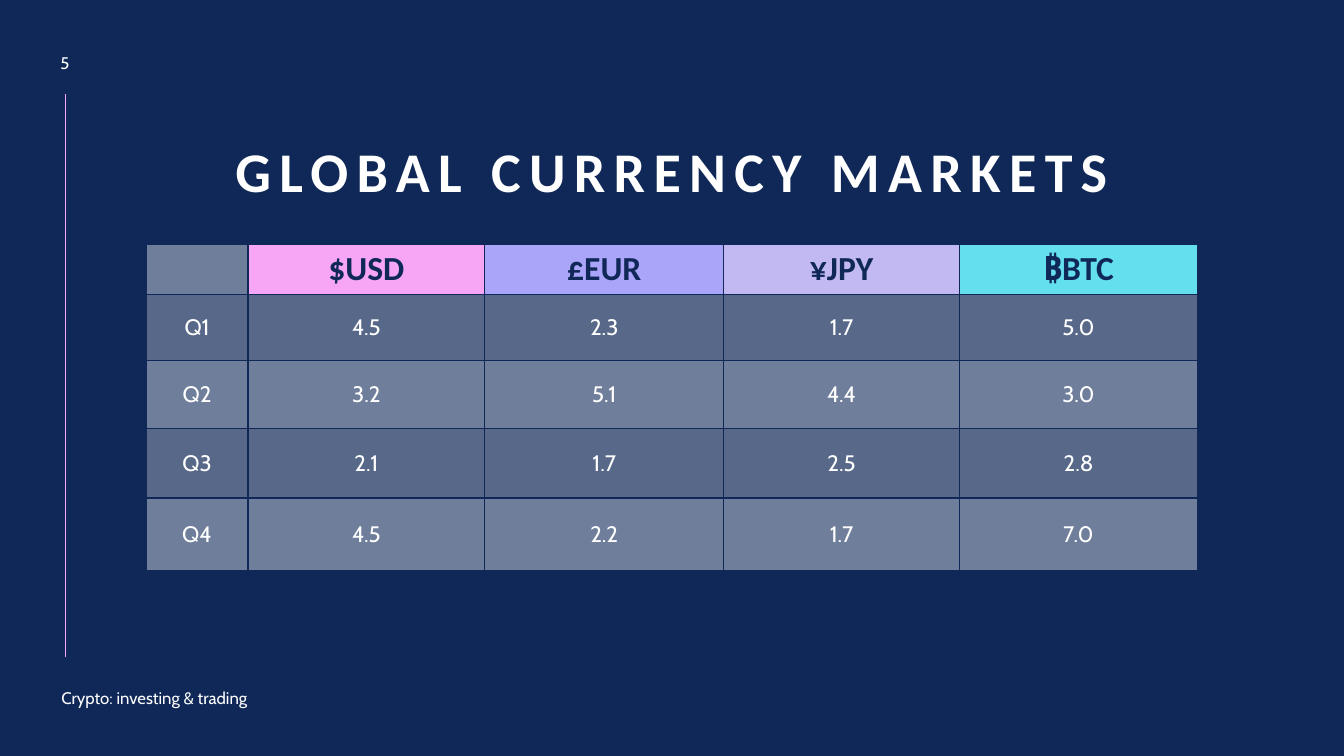
from collections import namedtuple
from dataclasses import dataclass

from lxml.etree import SubElement
from pptx import Presentation
from pptx.dml.color import RGBColor
from pptx.enum.shapes import MSO_CONNECTOR
from pptx.enum.text import MSO_ANCHOR, PP_ALIGN
from pptx.oxml import parse_xml
from pptx.oxml.ns import nsdecls, qn
from pptx.util import Pt

Box = namedtuple("Box", "left top width height")


@dataclass(frozen=True)
class Theme:
    navy: str = "102857"
    white: str = "FFFFFF"
    pink: str = "F6A6F4"
    periwinkle: str = "AAA5F9"
    lilac: str = "C3B9F2"
    cyan: str = "64DFED"
    heading_font: str = "Calibri"
    body_font: str = "Cabin"
    title_size: float = 40
    header_size: float = 24
    value_size: float = 16
    small_size: float = 12
    title_spacing: float = 6
    border_width: float = 1
    rule_width: float = 0.5
    odd_alpha: int = 30
    even_alpha: int = 40


THEME = Theme()
HEADERS = [("$USD", THEME.pink), ("£EUR", THEME.periwinkle),
           ("¥JPY", THEME.lilac), ("₿BTC", THEME.cyan)]
QUARTERS = [
    ("Q1", "4.5", "2.3", "1.7", "5.0"),
    ("Q2", "3.2", "5.1", "4.4", "3.0"),
    ("Q3", "2.1", "1.7", "2.5", "2.8"),
    ("Q4", "4.5", "2.2", "1.7", "7.0"),
]
COLUMN_WIDTHS = [72.72, 169.2, 170.64, 168.48, 169.92]
ROW_HEIGHTS = [33.84, 47.52, 48.24, 49.68, 51.84]


def color(code):
    return RGBColor.from_string(code)


def add_span(para, text, size, font, code, bold=False):
    span = para.add_run()
    span.text = text
    span.font.size = Pt(size)
    span.font.name = font
    span.font.bold = bold
    span.font.color.rgb = color(code)
    return span


def add_text_box(page, box, anchor, align):
    """Add an empty text box and return its paragraph."""
    frame = page.shapes.add_textbox(*map(Pt, box)).text_frame
    frame.word_wrap = True
    frame.vertical_anchor = anchor
    para = frame.paragraphs[0]
    para.alignment = align
    return para


def add_title(page, box, text):
    para = add_text_box(page, box, MSO_ANCHOR.BOTTOM, PP_ALIGN.CENTER)
    para.line_spacing = 0.9
    span = add_span(para, text, THEME.title_size, THEME.heading_font, THEME.white, True)
    span.font._element.set("spc", str(int(THEME.title_spacing * 100)))


def add_small_text(page, box, text, align):
    para = add_text_box(page, box, MSO_ANCHOR.MIDDLE, align)
    add_span(para, text, THEME.small_size, THEME.body_font, THEME.white)


def add_side_rule(page, box):
    rule = page.shapes.add_connector(
        MSO_CONNECTOR.STRAIGHT, Pt(box.left), Pt(box.top),
        Pt(box.left + box.width), Pt(box.top + box.height))
    rule.line.color.rgb = color(THEME.pink)
    rule.line.width = Pt(THEME.rule_width)
    SubElement(rule._element.spPr, qn("a:effectLst"))


def style_cell(cell, code, alpha=None):
    """Fill a cell and draw its four borders."""
    cell.vertical_anchor = MSO_ANCHOR.MIDDLE
    cell.fill.solid()
    cell.fill.fore_color.rgb = color(code)
    properties = cell._tc.get_or_add_tcPr()
    if alpha is not None:
        tint = properties.find(qn("a:solidFill"))[0]
        SubElement(tint, qn("a:alpha")).set("val", str(alpha * 1000))
    for index, side in enumerate("LRTB"):
        properties.insert(index, parse_xml(
            f'<a:ln{side} {nsdecls("a")} w="{Pt(THEME.border_width)}"><a:solidFill>'
            f'<a:srgbClr val="{THEME.navy}"/></a:solidFill></a:ln{side}>'))


def write_cell(cell, text, size, font, code, bold=False):
    para = cell.text_frame.paragraphs[0]
    para.alignment = PP_ALIGN.CENTER
    add_span(para, text, size, font, code, bold)


def add_currency_table(page, box):
    table = page.shapes.add_table(
        len(ROW_HEIGHTS), len(COLUMN_WIDTHS), *map(Pt, box)).table
    table.first_row = False
    table.horz_banding = False
    for column, width in zip(table.columns, COLUMN_WIDTHS):
        column.width = Pt(width)
    for row, height in zip(table.rows, ROW_HEIGHTS):
        row.height = Pt(height)

    # Header row
    style_cell(table.cell(0, 0), THEME.white, THEME.even_alpha)
    for index, (label, fill) in enumerate(HEADERS, 1):
        cell = table.cell(0, index)
        style_cell(cell, fill)
        write_cell(cell, label, THEME.header_size, THEME.heading_font, THEME.navy, True)

    # Quarter rows in alternating tints
    for row, values in enumerate(QUARTERS, 1):
        alpha = THEME.odd_alpha if row % 2 else THEME.even_alpha
        for column, value in enumerate(values):
            cell = table.cell(row, column)
            style_cell(cell, THEME.white, alpha)
            write_cell(cell, value, THEME.value_size, THEME.body_font, THEME.white)


def build_market_page(deck, box):
    page = deck.slides.add_slide(deck.slide_layouts[6])
    page.background.fill.solid()
    page.background.fill.fore_color.rgb = color(THEME.navy)

    def place(left, top, width, height):
        return Box(box.left + left, box.top + top, width, height)

    add_side_rule(page, place(46.8, 66.96, 0, 402.48))
    add_title(page, place(86.4, 65.52, 786.96, 84.24), "GLOBAL CURRENCY MARKETS")
    add_small_text(page, place(25.92, 32.4, 41.04, 24.48), "5", PP_ALIGN.CENTER)
    add_currency_table(page, place(104.4, 174.24, sum(COLUMN_WIDTHS), sum(ROW_HEIGHTS)))
    add_small_text(page, place(36.72, 487.44, 183.6, 21.6),
                   "Crypto: investing & trading", PP_ALIGN.LEFT)


def main():
    deck = Presentation()
    deck.slide_width = Pt(960)
    deck.slide_height = Pt(540)
    build_market_page(deck, Box(0, 0, 960, 540))
    deck.save("out.pptx")


if __name__ == "__main__":
    main()
